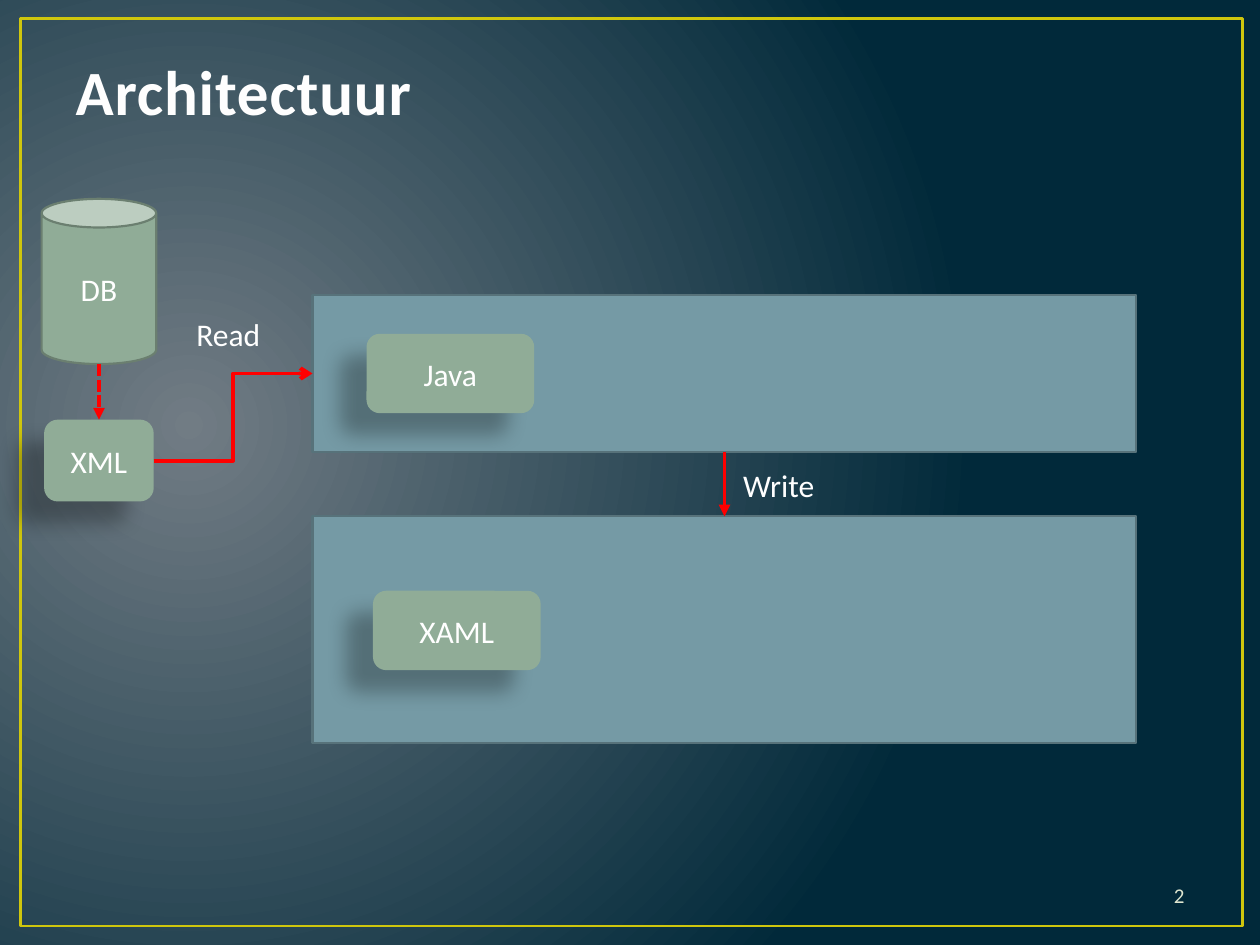
from lxml import etree
from pptx import Presentation
from pptx.dml.color import RGBColor
from pptx.enum.dml import MSO_LINE
from pptx.enum.shapes import MSO_CONNECTOR, MSO_SHAPE
from pptx.enum.text import MSO_ANCHOR, PP_ALIGN
from pptx.oxml.ns import qn
from pptx.util import Cm, Pt

TITLE_ONLY = 5
RECT, ROUNDED, CAN = MSO_SHAPE.RECTANGLE, MSO_SHAPE.ROUNDED_RECTANGLE, MSO_SHAPE.CAN
STRAIGHT, ELBOW = MSO_CONNECTOR.STRAIGHT, MSO_CONNECTOR.ELBOW
LEFT, CENTER, RIGHT = PP_ALIGN.LEFT, PP_ALIGN.CENTER, PP_ALIGN.RIGHT
TOP, MIDDLE, BOTTOM = MSO_ANCHOR.TOP, MSO_ANCHOR.MIDDLE, MSO_ANCHOR.BOTTOM
DASH = MSO_LINE.SQUARE_DOT

# Connection sites; a can numbers its sites differently
SITE_TOP, SITE_LEFT, SITE_BOTTOM, SITE_RIGHT = range(4)
CAN_BOTTOM = 3

COLORS = {
    "glow": "717C84", "night": "01293A", "frame": "CFC60D",
    "panel": "759AA5", "panel_edge": "57727A",
    "block": "90AC97", "block_edge": "6B7F70",
    "arrow": "FF0000", "text": "FFFFFF", "title": "FEFEFE",
    "title_edge": "384F55", "number": "DFE6D0", "shadow": "000000",
}
BODY = {"name": "Calibri", "size": Pt(18), "bold": False}
TITLE = {"name": "Calibri", "size": Pt(36), "bold": True}
NUMBER = {"name": "Calibri", "size": Pt(12), "bold": False}


def rgb(key):
    return RGBColor.from_string(COLORS[key])


def sub(parent, tag, **attributes):
    return etree.SubElement(parent, qn(tag), attributes)


def write(shape, text, color="text", style=BODY, align=CENTER, anchor=MIDDLE):
    frame = shape.text_frame
    frame.word_wrap = True
    frame.vertical_anchor = anchor
    paragraph = frame.paragraphs[0]
    paragraph.alignment = align
    run = paragraph.add_run()
    run.text = text
    for attribute, value in style.items():
        setattr(run.font, attribute, value)
    run.font.color.rgb = rgb(color)
    return run


def add_block(slide, kind, box, fill=None, edge=None, width=1.25):
    shape = slide.shapes.add_shape(kind, *(Cm(v) for v in box))
    shape.shadow.inherit = False
    if fill:
        shape.fill.solid()
        shape.fill.fore_color.rgb = rgb(fill)
    else:
        shape.fill.background()
    if edge:
        shape.line.color.rgb = rgb(edge)
        shape.line.width = Pt(width)
    else:
        shape.line.fill.background()
    return shape


def add_component(slide, box, text):
    """Rounded block with a soft shadow towards the lower left."""
    component = add_block(slide, ROUNDED, box, "block")
    effects = component.element.spPr.find(qn("a:effectLst"))
    shadow = sub(effects, "a:outerShdw", blurRad=str(Pt(11.8)), dist=str(Pt(19.7)),
                 dir=str(141 * 60000), algn="tl", rotWithShape="0")
    color = sub(shadow, "a:srgbClr", val=COLORS["shadow"])
    sub(color, "a:alpha", val="28000")
    write(component, text)
    return component


def add_label(slide, box, text, **look):
    label = slide.shapes.add_textbox(*(Cm(v) for v in box))
    write(label, text, **look)


def add_arrow(slide, kind, source, target, head="triangle", dash=None):
    """Arrow glued from one (shape, site) to another."""
    arrow = slide.shapes.add_connector(kind, 0, 0, 0, 0)
    arrow.begin_connect(*source)
    arrow.end_connect(*target)
    arrow.line.color.rgb = rgb("arrow")
    arrow.line.width = Pt(2.25)
    if dash:
        arrow.line.dash_style = dash
    sub(arrow.line._get_or_add_ln(), "a:tailEnd", type=head)
    sub(arrow.element.spPr, "a:effectLst")
    return arrow


def paint_background(slide):
    fill = slide.background.fill
    fill.gradient()
    for stop, position, key in zip(fill.gradient_stops, (0, 1), ("glow", "night")):
        stop.position = position
        stop.color.rgb = rgb(key)
    gradient = next(slide.element.iter(qn("a:gradFill")))
    gradient.remove(gradient.find(qn("a:lin")))
    circle = sub(gradient, "a:path", path="circle")
    sub(circle, "a:fillToRect", l="15000", t="50000", r="85000", b="60000")


def place_title(slide, box, text):
    title = slide.shapes.title
    title.left, title.top, title.width, title.height = (Cm(v) for v in box)
    run = write(title, text, "title", TITLE, LEFT, BOTTOM)
    properties = run.font._element
    properties.set("spc", "50")
    outline = etree.Element(qn("a:ln"), w=str(Pt(1.05)))
    sub(sub(outline, "a:solidFill"), "a:srgbClr", val=COLORS["title_edge"])
    properties.insert(0, outline)


def add_panel(slide, box, inset, text):
    """Wide layer with one component, offset by inset from its corner."""
    left, top, _, _ = box
    panel = add_block(slide, RECT, box, "panel", "panel_edge")
    add_component(slide, (left + inset[0], top + inset[1], 3.38, 1.6), text)
    return panel


def add_source(slide, left, top):
    """Database exported to XML; returns the XML block."""
    database = add_block(slide, CAN, (left, top, 2.31, 3.33), "block", "block_edge")
    write(database, "DB")
    xml = add_component(slide, (left + 0.05, top + 4.45, 2.21, 1.65), "XML")
    export = add_arrow(slide, STRAIGHT, (database, CAN_BOTTOM), (xml, SITE_TOP), dash=DASH)
    export.begin_x = database.left + database.width // 2
    export.begin_y = database.top + database.height
    return xml


def main():
    deck = Presentation()
    deck.slide_width, deck.slide_height = Cm(25.4), Cm(19.05)
    slide = deck.slides.add_slide(deck.slide_layouts[TITLE_ONLY])

    # Backdrop, frame and title
    paint_background(slide)
    add_block(slide, RECT, (0.41, 0.38, 24.64, 18.29), edge="frame", width=1.5)
    place_title(slide, (1.27, 0.74, 22.86, 1.98), "Architectuur")

    # Layers and their source
    xaml_panel = add_panel(slide, (6.3, 10.41, 16.61, 4.57), (1.22, 1.5), "XAML")
    java_panel = add_panel(slide, (6.3, 5.94, 16.61, 3.18), (1.09, 0.79), "Java")
    xml = add_source(slide, 0.84, 4.01)

    # Data flow
    add_arrow(slide, ELBOW, (xml, SITE_RIGHT), (java_panel, SITE_LEFT), head="arrow")
    add_arrow(slide, STRAIGHT, (java_panel, SITE_BOTTOM), (xaml_panel, SITE_TOP))
    add_label(slide, (3.71, 6.22, 2.01, 1.02), "Read", align=LEFT, anchor=TOP)
    add_label(slide, (14.73, 9.27, 2.18, 1.02), "Write", align=LEFT, anchor=TOP)

    # Slide number
    add_label(slide, (18.21, 17.53, 5.92, 1.02), "2", color="number",
              style=NUMBER, align=RIGHT)

    deck.save("out.pptx")


if __name__ == "__main__":
    main()
